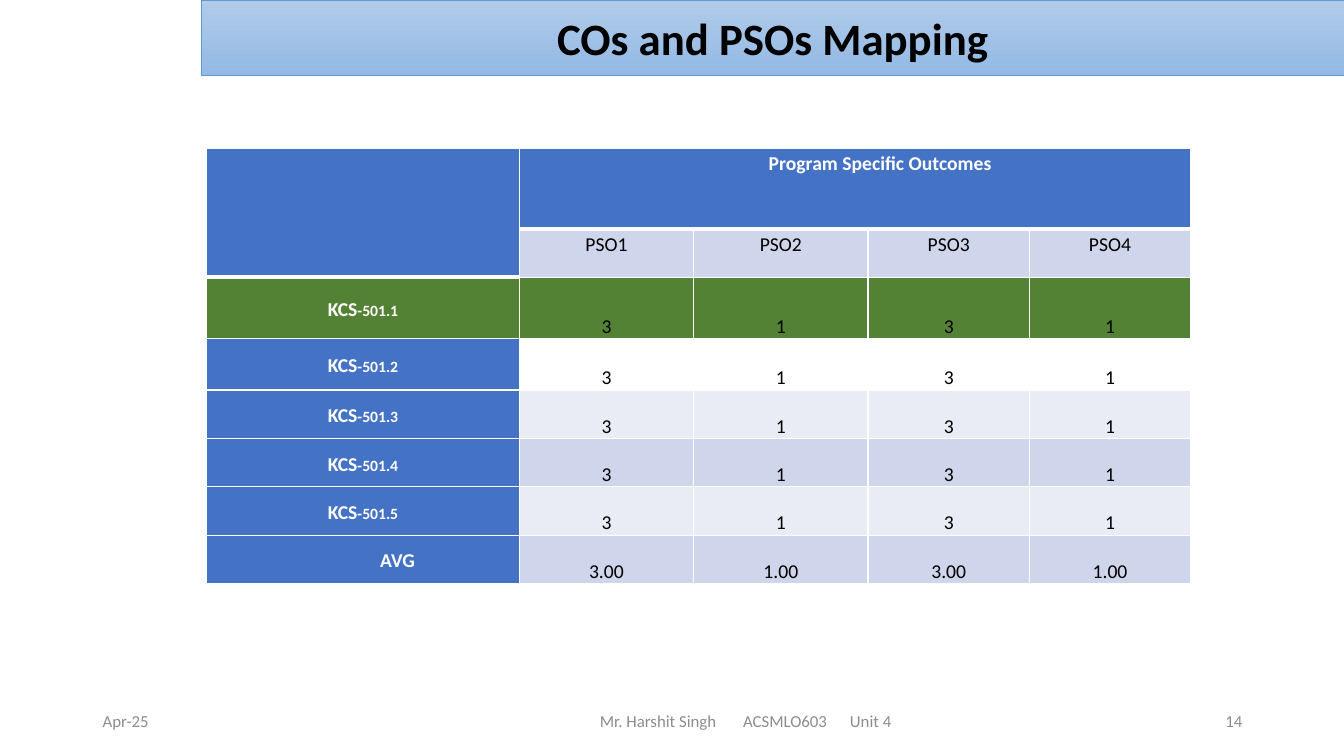
import pptx
import pptx.util
import pptx.dml.color
import pptx.enum.text
import pptx.oxml.ns
import lxml.etree

Inches = pptx.util.Inches
Pt = pptx.util.Pt
ALIGN = pptx.enum.text.PP_ALIGN
ANCHOR = pptx.enum.text.MSO_ANCHOR
qn = pptx.oxml.ns.qn

BLUE, GREEN, WHITE, BLACK, GREY = "4472C4", "548235", "FFFFFF", "000000", "8C8C8C"
BAND_DARK, BAND_LIGHT = "CFD5EA", "E9EBF5"

COLUMN_WIDTHS = [3.1, 1.73, 1.73, 1.6, 1.6]
ROW_HEIGHTS = [0.8, 0.48, 0.61, 0.51, 0.48, 0.48, 0.48, 0.48]
OUTCOMES = ["PSO1", "PSO2", "PSO3", "PSO4"]
# Row label, label fill, value fill, values
MAPPING = [
    ("KCS-501.1", GREEN, GREEN, ["3", "1", "3", "1"]),
    ("KCS-501.2", BLUE, None, ["3", "1", "3", "1"]),
    ("KCS-501.3", BLUE, BAND_LIGHT, ["3", "1", "3", "1"]),
    ("KCS-501.4", BLUE, BAND_DARK, ["3", "1", "3", "1"]),
    ("KCS-501.5", BLUE, BAND_LIGHT, ["3", "1", "3", "1"]),
    ("AVG", BLUE, BAND_DARK, ["3.00", "1.00", "3.00", "1.00"]),
]


def rgb(colour):
    return pptx.dml.color.RGBColor.from_string(colour)


def set_font(paragraph, size, colour, bold=False):
    font = paragraph.font
    font.name, font.size, font.bold = "Calibri", Pt(size), bold
    font.color.rgb = rgb(colour)


def add_title(slide, text):
    title = slide.shapes.title
    title.left, title.top = Inches(2), Inches(0)
    title.width, title.height = Inches(11.33), Inches(0.75)
    title.fill.gradient()
    title.fill.gradient_angle = 270
    for stop, colour in zip(title.fill.gradient_stops, ["B1CBE9", "93B9E4"]):
        stop.color.rgb = rgb(colour)
    title.fill.gradient_stops[0].position = 0
    title.fill.gradient_stops[1].position = 1
    title.line.color.rgb = rgb("5B9BD5")
    title.line.width = Pt(0.5)
    title.text_frame.text = text
    title.text_frame.vertical_anchor = ANCHOR.MIDDLE
    heading = title.text_frame.paragraphs[0]
    heading.alignment = ALIGN.CENTER
    set_font(heading, 32, BLACK, bold=True)


def add_footer(slide, text, left, width, align=ALIGN.LEFT, tabs=()):
    footer = slide.shapes.add_textbox(Inches(left), Inches(6.95), Inches(width), Inches(0.4))
    frame = footer.text_frame
    frame.word_wrap = True
    frame.vertical_anchor = ANCHOR.MIDDLE
    paragraph = frame.paragraphs[0]
    paragraph.add_run().text = text
    paragraph.alignment = align
    if tabs:
        tab_list = lxml.etree.SubElement(paragraph._p.get_or_add_pPr(), qn("a:tabLst"))
        for position in tabs:
            lxml.etree.SubElement(tab_list, qn("a:tab"), pos=str(Inches(position)), algn="l")
    set_font(paragraph, 12, GREY)
    return footer


def style_cell(cell, fill, bottom_width=1):
    properties = cell._tc.get_or_add_tcPr()
    for side, width in [("L", 1), ("R", 1), ("T", 1), ("B", bottom_width)]:
        border = lxml.etree.SubElement(properties, qn(f"a:ln{side}"), w=str(Pt(width)))
        solid = lxml.etree.SubElement(border, qn("a:solidFill"))
        lxml.etree.SubElement(solid, qn("a:srgbClr"), val=WHITE)
    if fill:
        cell.fill.solid()
        cell.fill.fore_color.rgb = rgb(fill)
    else:
        cell.fill.background()


def write_cell(cell, text, colour=BLACK, bold=False, anchor=ANCHOR.TOP,
               space_after=0, indent=0, small_caps=False):
    cell.margin_top = cell.margin_bottom = 0
    cell.vertical_anchor = anchor
    cell.text = text
    paragraph = cell.text_frame.paragraphs[0]
    paragraph.alignment = ALIGN.CENTER
    paragraph.line_spacing = 1.15
    paragraph.space_after = Pt(space_after)
    if indent:
        paragraph._p.get_or_add_pPr().set("marL", str(Inches(indent)))
    set_font(paragraph, 14, colour, bold)
    if small_caps:
        paragraph.runs[0]._r.get_or_add_rPr().set("cap", "small")


def add_mapping_table(slide):
    table = slide.shapes.add_table(
        len(ROW_HEIGHTS), len(COLUMN_WIDTHS), Inches(2.05), Inches(1.47),
        Inches(sum(COLUMN_WIDTHS)), Inches(sum(ROW_HEIGHTS))).table
    table.horz_banding = False
    for column, width in zip(table.columns, COLUMN_WIDTHS):
        column.width = Inches(width)
    for row, height in zip(table.rows, ROW_HEIGHTS):
        row.height = Inches(height)

    # Header rows
    for column in range(len(COLUMN_WIDTHS)):
        style_cell(table.cell(0, column), BLUE, bottom_width=3)
    style_cell(table.cell(1, 0), BLUE, bottom_width=3)
    table.cell(0, 0).merge(table.cell(1, 0))
    table.cell(0, 1).merge(table.cell(0, 4))
    write_cell(table.cell(0, 1), "Program Specific Outcomes", WHITE, bold=True,
               space_after=10, indent=0.5)
    for column, outcome in enumerate(OUTCOMES, start=1):
        style_cell(table.cell(1, column), BAND_DARK)
        write_cell(table.cell(1, column), outcome)

    # Course outcome rows
    for row, (label, label_fill, value_fill, values) in enumerate(MAPPING, start=2):
        style_cell(table.cell(row, 0), label_fill)
        write_cell(table.cell(row, 0), label, WHITE, bold=True, anchor=ANCHOR.MIDDLE,
                   indent=0.34 if label == "AVG" else 0, small_caps=True)
        for column, value in enumerate(values, start=1):
            style_cell(table.cell(row, column), value_fill)
            write_cell(table.cell(row, column), value, anchor=ANCHOR.BOTTOM, space_after=10)


def main():
    deck = pptx.Presentation()
    deck.slide_width, deck.slide_height = Inches(13.33), Inches(7.5)
    slide = deck.slides.add_slide(deck.slide_layouts[5])

    # Footer line
    add_footer(slide, "Apr-25", 0.92, 3)
    course = add_footer(slide, "Mr. Harshit Singh\tACSMLO603\tUnit 4", 3.31, 8.19,
                        tabs=[1.42, 2.48])
    course.text_frame.margin_left = Inches(2.64)
    add_footer(slide, "14", 9.42, 3, ALIGN.RIGHT)

    add_title(slide, "COs and PSOs Mapping")
    add_mapping_table(slide)
    deck.save("out.pptx")


if __name__ == "__main__":
    main()
